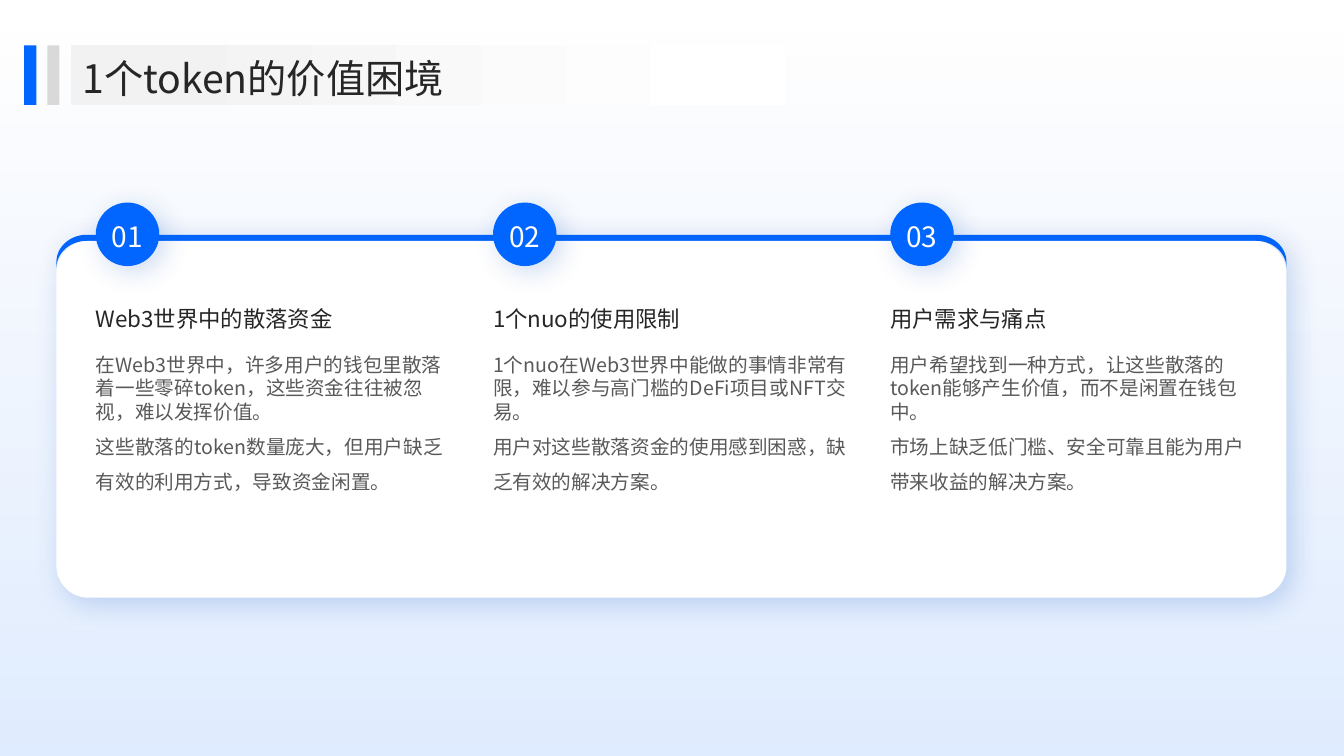
from dataclasses import dataclass
from math import cos, radians, sin

from lxml import etree
from pptx import Presentation
from pptx.dml.color import RGBColor
from pptx.enum.shapes import MSO_SHAPE
from pptx.enum.text import MSO_ANCHOR, MSO_AUTO_SIZE, PP_ALIGN
from pptx.oxml.ns import qn
from pptx.util import Inches, Pt

RECT, ROUND, OVAL = MSO_SHAPE.RECTANGLE, MSO_SHAPE.ROUNDED_RECTANGLE, MSO_SHAPE.OVAL
TOP, MIDDLE = MSO_ANCHOR.TOP, MSO_ANCHOR.MIDDLE
LEFT, CENTER = PP_ALIGN.LEFT, PP_ALIGN.CENTER
NO_AUTOFIT = MSO_AUTO_SIZE.NONE


@dataclass(frozen=True)
class Theme:
    font: str = "Noto Sans CJK SC"
    blue: str = "0066FF"
    shadow: str = "004CBF"
    white: str = "FFFFFF"
    ink: str = "262626"
    body: str = "595959"
    grey: str = "D9D9D9"
    pale: str = "F2F2F2"
    title_size: int = 28
    number_size: int = 20
    heading_size: int = 16
    body_size: int = 14


@dataclass(frozen=True)
class Box:
    x: float
    y: float
    w: float
    h: float

    def emu(self) -> list[int]:
        return [Inches(v) for v in (self.x, self.y, self.w, self.h)]


@dataclass(frozen=True)
class Topic:
    number: str
    heading: str
    problem: str
    detail: str


THEME = Theme()
COLUMN_LEFT, COLUMN_PITCH, COLUMN_WIDTH = 0.95, 3.94, 3.54
TITLE = "1个token的价值困境"
TOPICS = [
    Topic("01", "Web3世界中的散落资金",
          "在Web3世界中，许多用户的钱包里散落着一些零碎token，这些资金往往被忽视，难以发挥价值。",
          "这些散落的token数量庞大，但用户缺乏有效的利用方式，导致资金闲置。"),
    Topic("02", "1个nuo的使用限制",
          "1个nuo在Web3世界中能做的事情非常有限，难以参与高门槛的DeFi项目或NFT交易。",
          "用户对这些散落资金的使用感到困惑，缺乏有效的解决方案。"),
    Topic("03", "用户需求与痛点",
          "用户希望找到一种方式，让这些散落的token能够产生价值，而不是闲置在钱包中。",
          "市场上缺乏低门槛、安全可靠且能为用户带来收益的解决方案。"),
]


def style(sp, fill: str | None = None, shadow: bool = False) -> None:
    """Solid fill, no outline, and a soft blue shadow on request."""
    if fill:
        sp.fill.solid()
        sp.fill.fore_color.rgb = RGBColor.from_string(fill)
    sp.line.fill.background()
    sp.shadow.inherit = False
    if shadow:
        effects = sp._element.spPr.find(qn("a:effectLst"))
        outer = etree.SubElement(effects, qn("a:outerShdw"), blurRad=str(Pt(20)),
                                 dist=str(Pt(6)), dir="2700000", algn="tl",
                                 rotWithShape="0")
        color = etree.SubElement(outer, qn("a:srgbClr"), val=THEME.shadow)
        etree.SubElement(color, qn("a:alpha"), val="20000")


def add_block(s, kind, box: Box, fill: str | None = None, shadow: bool = False):
    sp = s.shapes.add_shape(kind, *box.emu())
    style(sp, fill, shadow)
    return sp


def add_gradient(s, box: Box, stops: list[tuple[float, str, int]], angle: int) -> None:
    """Stops are position, colour and opacity in percent."""
    sp = add_block(s, RECT, box)
    sp.fill.gradient()
    sp.fill.gradient_angle = angle
    for stop, (position, color, _) in zip(sp.fill.gradient_stops, stops):
        stop.position = position
        stop.color.rgb = RGBColor.from_string(color)
    for node, (_, _, opacity) in zip(sp._element.spPr.iter(qn("a:srgbClr")), stops):
        if opacity < 100:
            etree.SubElement(node, qn("a:alpha"), val=str(opacity * 1000))


def write(tf, text: str, *, size: int, color: str, spacing: float, align=LEFT,
          anchor=MIDDLE, more: bool = False) -> None:
    """Put one formatted paragraph in a frame, or add it after the others."""
    tf.word_wrap = True
    tf.auto_size = NO_AUTOFIT
    tf.vertical_anchor = anchor
    tf.margin_left = tf.margin_top = tf.margin_right = tf.margin_bottom = 0
    p = tf.add_paragraph() if more else tf.paragraphs[0]
    p.alignment = align
    p.line_spacing = spacing
    p.space_before = p.space_after = Pt(0)
    p._p.get_or_add_pPr().set("hangingPunct", "0")
    r = p.add_run()
    r.text = text
    r.font.size = Pt(size)
    r.font.color.rgb = RGBColor.from_string(color)
    r.font.name = THEME.font
    etree.SubElement(r._r.get_or_add_rPr(), qn("a:ea"), typeface=THEME.font)


def add_text(s, box: Box, text: str, **fmt):
    tf = s.shapes.add_textbox(*box.emu()).text_frame
    write(tf, text, **fmt)
    return tf


def add_card_edge(s) -> None:
    """Blue band that follows the rounded top of the card."""
    left, right, base, rx, ry, thickness = 0.86, 12.46, 2.6, 0.3, 0.27, 0.06
    outer = [((left if a <= 270 else right) + rx * cos(radians(a)),
              base + ry * sin(radians(a)))
             for a in [*range(180, 271, 6), *range(276, 361, 6)]]
    outer.insert(16, (right, base - ry))
    inner = [(x, y + thickness) for x, y in reversed(outer)]
    points = [(Inches(x), Inches(y)) for x, y in outer + inner]
    builder = s.shapes.build_freeform(*points[0])
    builder.add_line_segments(points[1:], close=True)
    style(builder.convert_to_shape(), THEME.blue, shadow=True)


def add_topic(s, topic: Topic, x: float) -> None:
    tf = add_text(s, Box(x, 3.5, COLUMN_WIDTH, 2.17), topic.problem, anchor=TOP,
                  size=THEME.body_size, color=THEME.body, spacing=1.0)
    write(tf, topic.detail, anchor=TOP, more=True,
          size=THEME.body_size, color=THEME.body, spacing=1.5)
    add_text(s, Box(x, 2.84, COLUMN_WIDTH, 0.59), topic.heading,
             size=THEME.heading_size, color=THEME.ink, spacing=1.2)
    add_block(s, OVAL, Box(x, 2.01, 0.63, 0.63), THEME.blue, shadow=True)
    add_text(s, Box(x + 0.08, 2.17, 0.47, 0.31), topic.number, align=CENTER,
             size=THEME.number_size, color=THEME.white, spacing=1.1)


def add_title(s) -> None:
    add_gradient(s, Box(0.7, 0.45, 7.09, 0.59),
                 [(0.1, THEME.pale, 100), (0.93, THEME.white, 100)], 0)
    title = s.shapes.title
    title.left, title.top, title.width, title.height = Box(0.82, 0.49, 11.78, 0.51).emu()
    write(title.text_frame, TITLE, size=THEME.title_size, color=THEME.ink, spacing=1.1)
    s.shapes._spTree.append(title._element)  # bring in front of the strip
    for x, color in ((0.24, THEME.blue), (0.47, THEME.grey)):
        add_block(s, RECT, Box(x, 0.45, 0.12, 0.59), color)


def main() -> None:
    prs = Presentation()
    prs.slide_width, prs.slide_height = Inches(13.33), Inches(7.5)
    s = prs.slides.add_slide(prs.slide_layouts[5])

    # Background
    add_gradient(s, Box(0, 0, 13.33, 7.5),
                 [(0, THEME.blue, 0), (1, THEME.blue, 13)], 270)

    # Card
    add_card_edge(s)
    card = add_block(s, ROUND, Box(0.56, 2.39, 12.2, 3.54), THEME.white, shadow=True)
    card.adjustments[0] = 0.09

    # Columns
    for i, topic in enumerate(TOPICS):
        add_topic(s, topic, COLUMN_LEFT + i * COLUMN_PITCH)

    # Title bar
    add_title(s)
    prs.save("out.pptx")


if __name__ == "__main__":
    main()
